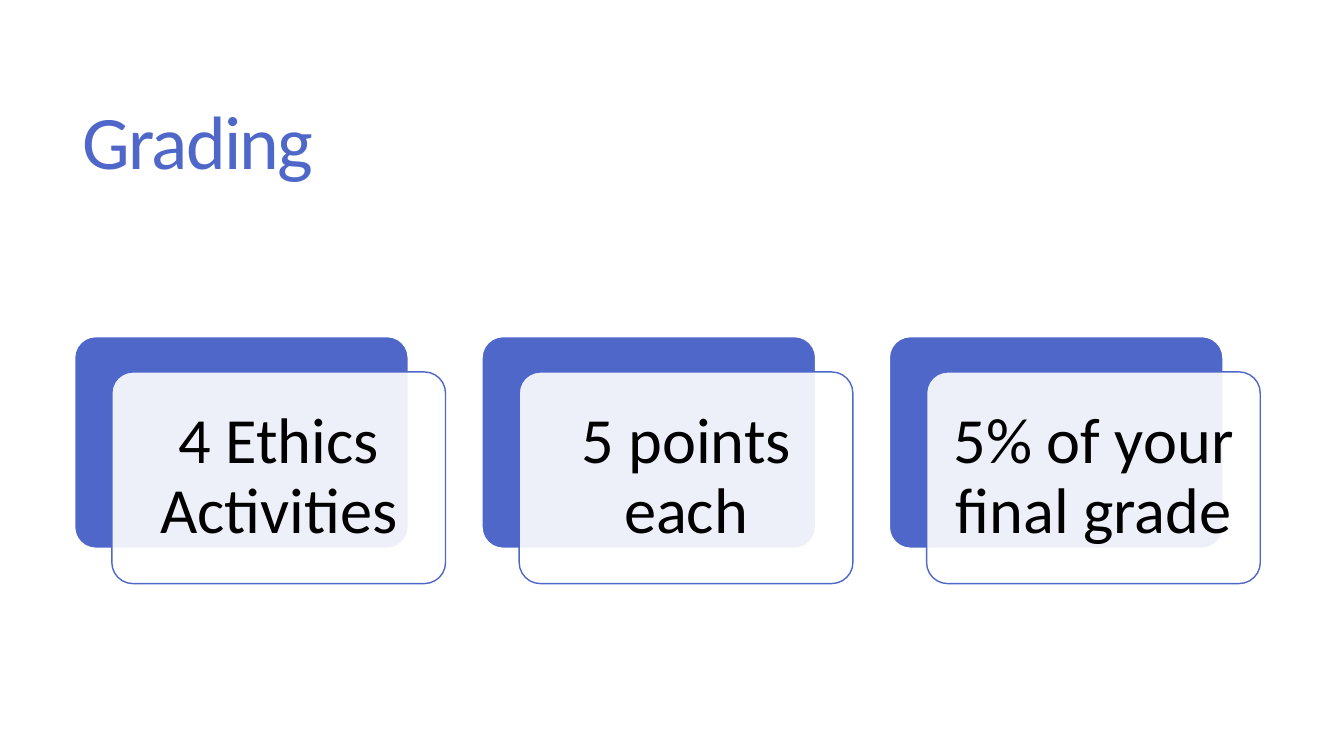
from lxml import etree
from pptx import Presentation, util as u
from pptx.dml.color import RGBColor
from pptx.enum import shapes, text
from pptx.oxml.ns import qn

HUES = {"blue": "4E67C8", "white": "FFFFFF", "black": "000000"}
WIDE, HIGH = 13.33, 7.5
FONT = "Calibri"


class Deck:
    """Places elements on a grid of 100 columns by 100 rows."""

    def __init__(self):
        self.prs = Presentation()
        self.prs.slide_width = u.Inches(WIDE)
        self.prs.slide_height = u.Inches(HIGH)
        self.slide = self.prs.slides.add_slide(self.prs.slide_layouts[6])

    def hue(self, name):
        return RGBColor.from_string(HUES[name])

    def grid(self, x, y, w, h):
        col, row = WIDE / 100, HIGH / 100
        return [u.Inches(n) for n in (x * col, y * row, w * col, h * row)]

    def panel(self, x, y, w, h, fill, line, alpha=None):
        box = self.slide.shapes.add_shape(
            shapes.MSO_SHAPE.ROUNDED_RECTANGLE, *self.grid(x, y, w, h))
        box.adjustments[0] = 0.1
        box.shadow.inherit = False
        box.fill.solid()
        box.fill.fore_color.rgb = self.hue(fill)
        box.line.color.rgb = self.hue(line)
        box.line.width = u.Pt(1)
        if alpha is not None:
            tint = box._element.spPr.find(qn("a:solidFill"))[0]
            etree.SubElement(tint, qn("a:alpha"), val=str(alpha * 1000))

    def label(self, x, y, w, h, words, size, hue, align, lead,
              pad=(0.1, 0.05), track=None):
        box = self.slide.shapes.add_textbox(*self.grid(x, y, w, h))
        frame = box.text_frame
        frame.word_wrap = True
        frame.vertical_anchor = text.MSO_ANCHOR.MIDDLE
        frame.margin_left = frame.margin_right = u.Inches(pad[0])
        frame.margin_top = frame.margin_bottom = u.Inches(pad[1])
        para = frame.paragraphs[0]
        run = para.add_run()
        run.text = words
        para.alignment = align
        para.line_spacing = lead
        para.font.name = FONT
        para.font.size = u.Pt(size)
        para.font.color.rgb = self.hue(hue)
        if track is not None:
            run._r.get_or_add_rPr().set("spc", str(round(track * 100)))

    def card(self, x, y, words):
        w, h = 24.83, 28
        self.panel(x, y, w, h, "blue", "white")
        # The front panel sits lower and to the right
        x, y = x + 2.77, y + 4.67
        self.panel(x, y, w, h, "white", "blue", alpha=90)
        # Text keeps clear of the rounded corners
        dx, dy = 0.46, 0.82
        self.label(x + dx, y + dy, w - 2 * dx, h - 2 * dy, words, 46,
                   "black", text.PP_ALIGN.CENTER, 0.9, pad=(0.19, 0.19))


def main():
    deck = Deck()

    # Title
    deck.label(5.4, 7.33, 88.37, 24.13, "Grading", 54, "blue",
               text.PP_ALIGN.LEFT, 0.85, track=-1.2)

    # Row of cards
    facts = ["4 Ethics Activities", "5 points each", "5% of your final grade"]
    for i, fact in enumerate(facts):
        deck.card(5.55 + 30.31 * i, 44.53, fact)

    deck.prs.save("out.pptx")


if __name__ == "__main__":
    main()
